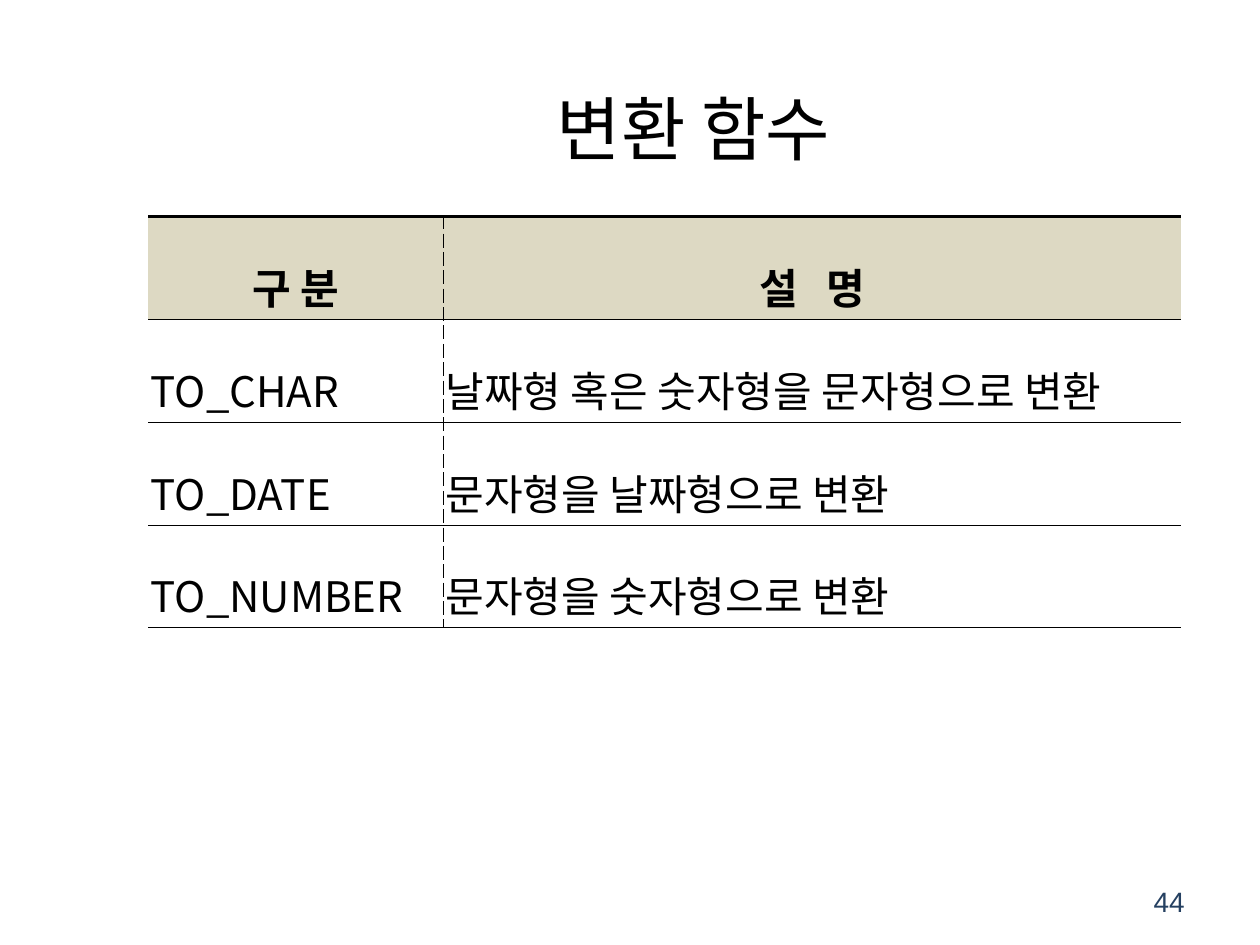
"""Build a slide with a table of conversion functions."""
from dataclasses import dataclass

from lxml.etree import SubElement
from pptx import Presentation
from pptx.dml.color import RGBColor
from pptx.enum.text import MSO_ANCHOR, PP_ALIGN
from pptx.oxml.ns import qn
from pptx.util import Cm, Pt

SANS = "Noto Sans CJK KR"
BLACK = "000000"
SAND = "DDD9C3"
NAVY = "254061"


@dataclass(frozen=True)
class Style:
    size: float
    align: PP_ALIGN
    font: str = SANS
    color: str = BLACK
    bold: bool = False


@dataclass(frozen=True)
class Box:
    left: float
    top: float
    width: float
    height: float


@dataclass(frozen=True)
class Edge:
    side: str
    width: float = 0
    dash: str = "solid"


TITLE = Style(40, PP_ALIGN.CENTER)
PAGE = Style(16, PP_ALIGN.RIGHT, "Arial", NAVY)
HEAD = Style(24, PP_ALIGN.CENTER, bold=True)
BODY = Style(24, PP_ALIGN.JUSTIFY)
ROWS = [
    ("구 분", "설   명"),
    ("TO_CHAR", "날짜형 혹은 숫자형을 문자형으로 변환"),
    ("TO_DATE", "문자형을 날짜형으로 변환"),
    ("TO_NUMBER", "문자형을 숫자형으로 변환"),
]
WIDTHS = (5.94, 14.88)
HEIGHT = 2.07


def paint(color: str) -> RGBColor:
    return RGBColor.from_string(color)


def write(frame, text: str, style: Style, gap: float = 1) -> None:
    para = frame.paragraphs[0]
    para.alignment = style.align
    para.line_spacing = gap
    run = para.add_run()
    run.text = text
    font = run.font
    font.size = Pt(style.size)
    font.bold = style.bold
    font.color.rgb = paint(style.color)
    font.name = style.font
    SubElement(run._r.get_or_add_rPr(), qn("a:ea"), typeface=style.font)


def label(slide, box: Box, text: str, style: Style) -> None:
    spot = map(Cm, (box.left, box.top, box.width, box.height))
    frame = slide.shapes.add_textbox(*spot).text_frame
    frame.word_wrap = True
    frame.vertical_anchor = MSO_ANCHOR.MIDDLE
    write(frame, text, style)


def rule(cell, edge: Edge) -> None:
    line = SubElement(cell._tc.get_or_add_tcPr(), qn(f"a:ln{edge.side}"))
    if not edge.width:
        SubElement(line, qn("a:noFill"))
        return
    line.set("w", str(Pt(edge.width)))
    fill = SubElement(line, qn("a:solidFill"))
    SubElement(fill, qn("a:srgbClr"), val=BLACK)
    SubElement(line, qn("a:prstDash"), val=edge.dash)


def fill_cell(cell, text: str, row: int, col: int) -> None:
    cell.vertical_anchor = MSO_ANCHOR.MIDDLE
    cell.margin_left = cell.margin_right = Cm(0.05)
    cell.margin_top = cell.margin_bottom = Cm(0.05)
    write(cell.text_frame, text, BODY if row else HEAD, 1.6)
    inner = 0.56
    for edge in (
        Edge("L", inner if col else 0, "dash"),
        Edge("R", 0 if col else inner, "dash"),
        Edge("T", 0.25 if row else 1.98),
        Edge("B", 0.25),
    ):
        rule(cell, edge)
    if row:
        cell.fill.background()
    else:
        cell.fill.solid()
        cell.fill.fore_color.rgb = paint(SAND)


def grid(slide, left: float, top: float) -> None:
    count = len(ROWS)
    table = slide.shapes.add_table(
        count, len(WIDTHS), Cm(left), Cm(top), Cm(sum(WIDTHS)), Cm(HEIGHT * count)
    ).table
    table.first_row = table.horz_banding = False
    for col, width in zip(table.columns, WIDTHS):
        col.width = Cm(width)
    for row, texts in enumerate(ROWS):
        table.rows[row].height = Cm(HEIGHT)
        for col, text in enumerate(texts):
            fill_cell(table.cell(row, col), text, row, col)


def main() -> None:
    deck = Presentation()
    deck.slide_width, deck.slide_height = Cm(25.4), Cm(19.05)
    slide = deck.slides.add_slide(deck.slide_layouts[6])
    label(slide, Box(3.5, 0.97, 20.96, 3.2), "변환 함수", TITLE)
    label(slide, Box(18.21, 17.65, 5.92, 1.02), "44", PAGE)
    grid(slide, 2.99, 4.37)
    deck.save("out.pptx")


if __name__ == "__main__":
    main()
